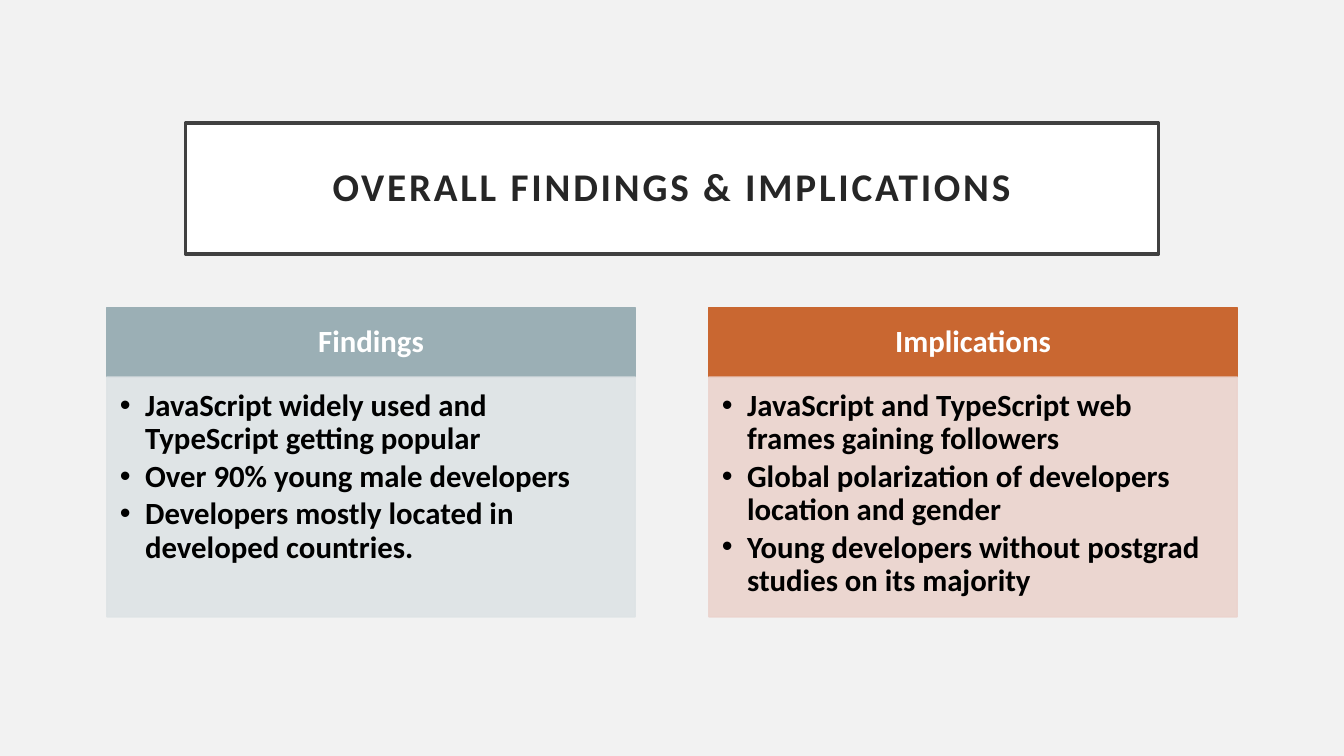
from dataclasses import dataclass

from lxml.etree import SubElement
from pptx import Presentation
from pptx.dml.color import RGBColor
from pptx.enum.text import MSO_ANCHOR as Anchor, MSO_AUTO_SIZE as AutoSize, PP_ALIGN as Align
from pptx.oxml.ns import qn
from pptx.shapes.placeholder import SlidePlaceholder
from pptx.slide import Slide
from pptx.text.text import _Paragraph as Paragraph
from pptx.util import Inches, Pt

SLIDE_WIDTH = Inches(13.33)
SLIDE_HEIGHT = Inches(7.5)
COMPARISON_LAYOUT = 4
FONT = "Calibri"

PALE_GRAY = RGBColor(0xF2, 0xF2, 0xF2)
WHITE = RGBColor(0xFF, 0xFF, 0xFF)
BLACK = RGBColor(0x00, 0x00, 0x00)
FRAME_GRAY = RGBColor(0x40, 0x40, 0x40)
TITLE_GRAY = RGBColor(0x26, 0x26, 0x26)
SLATE = RGBColor(0x9B, 0xAF, 0xB5)
PALE_SLATE = RGBColor(0xDE, 0xE3, 0xE5)
RUST = RGBColor(0xC9, 0x67, 0x31)
PALE_RUST = RGBColor(0xEB, 0xD3, 0xCD)


@dataclass(frozen=True)
class Area:
    left: float
    top: float
    width: float
    height: float


@dataclass(frozen=True)
class Panel:
    heading: str
    points: tuple[str, ...]
    heading_color: RGBColor
    body_color: RGBColor


TITLE_AREA = Area(13.8, 16.27, 72.4, 17.33)
MARGIN = 7.95
PANEL_WIDTH = 39.31
PANEL_STEP = 100 - 2 * MARGIN - PANEL_WIDTH
HEADING_TOP = 40.67
HEADING_HEIGHT = 9.2
BODY_HEIGHT = 31.73

PANELS = (
    Panel(
        "Findings",
        (
            "JavaScript widely used and TypeScript getting popular",
            "Over 90% young male developers",
            "Developers mostly located in developed countries.",
        ),
        SLATE,
        PALE_SLATE,
    ),
    Panel(
        "Implications",
        (
            "JavaScript and TypeScript web frames gaining followers",
            "Global polarization of developers location and gender",
            "Young developers without postgrad studies on its majority",
        ),
        RUST,
        PALE_RUST,
    ),
)


def format_box(
    shape: SlidePlaceholder,
    area: Area,
    fill: RGBColor,
    line: RGBColor,
    line_width: float,
    insets: tuple[float, float, float, float],
    anchor: Anchor,
) -> None:
    shape.left = round(SLIDE_WIDTH * area.left / 100)
    shape.top = round(SLIDE_HEIGHT * area.top / 100)
    shape.width = round(SLIDE_WIDTH * area.width / 100)
    shape.height = round(SLIDE_HEIGHT * area.height / 100)
    shape.fill.solid()
    shape.fill.fore_color.rgb = fill
    shape.line.color.rgb = line
    shape.line.width = Pt(line_width)
    frame = shape.text_frame
    frame.word_wrap = True
    frame.auto_size = AutoSize.NONE
    frame.vertical_anchor = anchor
    frame.margin_left, frame.margin_top, frame.margin_right, frame.margin_bottom = map(Inches, insets)


def add_text(
    paragraph: Paragraph, text: str, size: int, color: RGBColor, align: Align, tracking: int = 0
) -> None:
    paragraph.alignment = align
    paragraph.line_spacing = 0.9
    paragraph.space_before = Pt(0)
    run = paragraph.add_run()
    run.text = text
    run.font.name = FONT
    run.font.size = Pt(size)
    run.font.bold = True
    run.font.color.rgb = color
    if tracking:
        run.font._element.set("spc", str(tracking * 100))


def add_bullet(paragraph: Paragraph) -> None:
    paragraph.level = 1
    paragraph.space_after = Pt(3)
    properties = paragraph._p.get_or_add_pPr()
    properties.set("marL", str(Inches(0.25)))
    properties.set("indent", str(-Inches(0.25)))
    SubElement(properties, qn("a:buFont"), typeface="Arial")
    SubElement(properties, qn("a:buChar"), char="•")


def make_translucent(shape: SlidePlaceholder, opacity: int) -> None:
    for color in shape.element.spPr.iter(qn("a:srgbClr")):
        SubElement(color, qn("a:alpha"), val=str(opacity * 1000))


def draw_panel(slide: Slide, index: int, panel: Panel) -> None:
    left = MARGIN + index * PANEL_STEP
    heading = slide.placeholders[1 + 2 * index]
    body = slide.placeholders[2 + 2 * index]

    heading_area = Area(left, HEADING_TOP, PANEL_WIDTH, HEADING_HEIGHT)
    format_box(heading, heading_area, panel.heading_color, panel.heading_color, 1,
               (0.17, 0.1, 0.17, 0.1), Anchor.MIDDLE)
    add_text(heading.text_frame.paragraphs[0], panel.heading, 22, WHITE, Align.CENTER)

    body_area = Area(left, HEADING_TOP + HEADING_HEIGHT, PANEL_WIDTH, BODY_HEIGHT)
    format_box(body, body_area, panel.body_color, panel.body_color, 1,
               (0.13, 0.13, 0.17, 0.19), Anchor.TOP)
    make_translucent(body, 90)
    frame = body.text_frame
    for number, point in enumerate(panel.points):
        paragraph = frame.add_paragraph() if number else frame.paragraphs[0]
        add_text(paragraph, point, 22, BLACK, Align.LEFT)
        add_bullet(paragraph)


def main() -> None:
    presentation = Presentation()
    presentation.slide_width = SLIDE_WIDTH
    presentation.slide_height = SLIDE_HEIGHT
    slide = presentation.slides.add_slide(presentation.slide_layouts[COMPARISON_LAYOUT])
    slide.background.fill.solid()
    slide.background.fill.fore_color.rgb = PALE_GRAY

    title = slide.shapes.title
    format_box(title, TITLE_AREA, WHITE, FRAME_GRAY, 2.5, (0.2, 0.2, 0.2, 0.2), Anchor.MIDDLE)
    add_text(title.text_frame.paragraphs[0], "OVERALL FINDINGS & IMPLICATIONS", 28,
             TITLE_GRAY, Align.CENTER, tracking=2)

    for index, panel in enumerate(PANELS):
        draw_panel(slide, index, panel)

    presentation.save("out.pptx")


if __name__ == "__main__":
    main()
